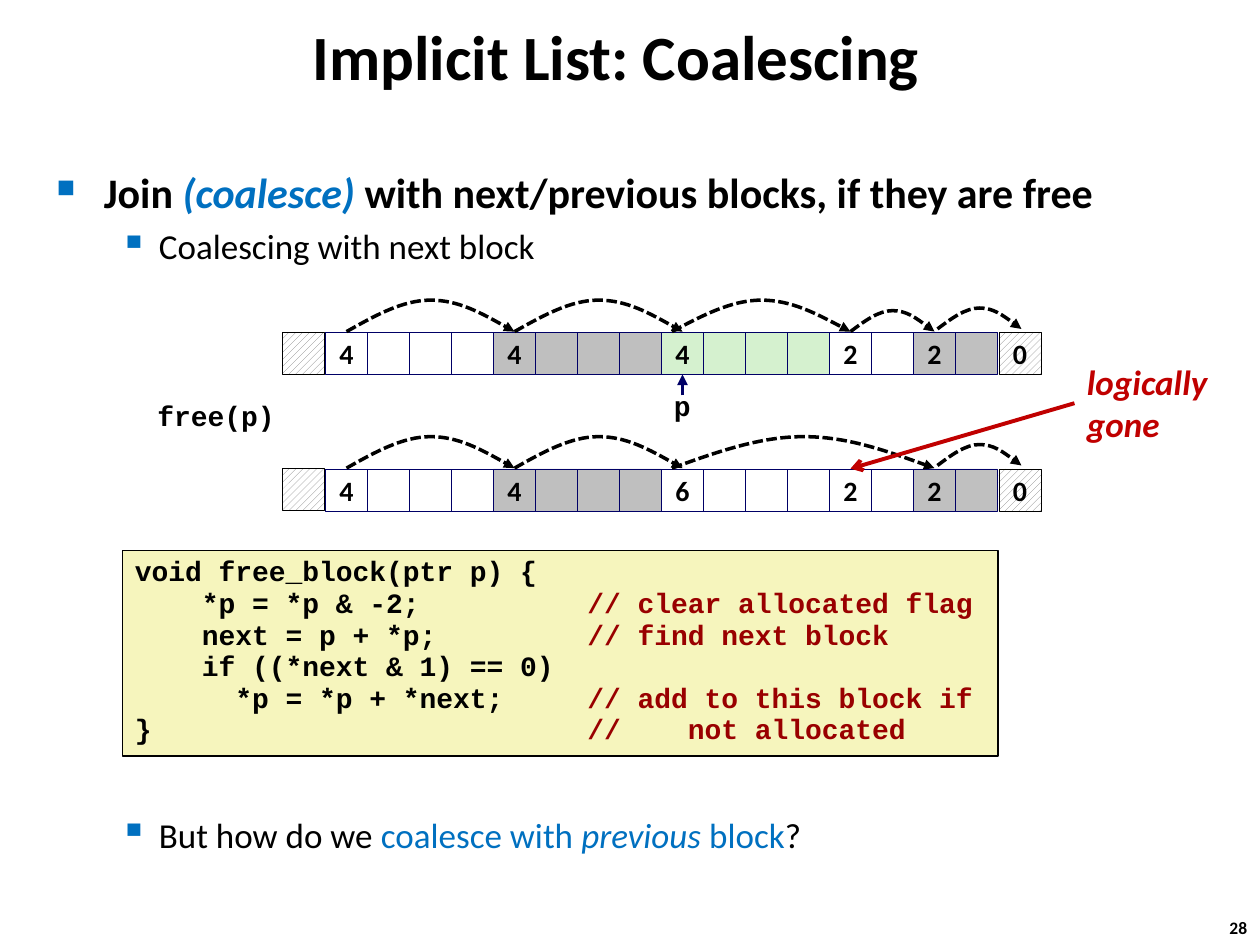
"""Build the slide on coalescing free blocks in an implicit list."""
from dataclasses import dataclass

from lxml.etree import SubElement
from pptx import Presentation
from pptx.dml.color import RGBColor
from pptx.enum.dml import MSO_LINE_DASH_STYLE as Dash, MSO_PATTERN_TYPE as Pattern
from pptx.enum.shapes import MSO_CONNECTOR_TYPE as Connector, MSO_SHAPE as Preset
from pptx.enum.text import MSO_ANCHOR as Anchor, PP_ALIGN as Align
from pptx.oxml.ns import qn
from pptx.util import Pt


@dataclass(frozen=True)
class Theme:
    sans: str = "Calibri"
    mono: str = "Courier New"
    black: str = "000000"
    white: str = "FFFFFF"
    blue: str = "0070C0"
    navy: str = "000066"
    red: str = "C00000"
    comment: str = "990000"
    code_fill: str = "F6F5BD"
    gray: str = "BFBFBF"
    silver: str = "C0C0C0"
    green: str = "D5F1CF"
    hatch: str = "808080"
    title_size: int = 36
    heading_size: int = 24
    body_size: int = 20
    small_size: int = 16
    number_size: int = 10


THEME = Theme()
CELL = 24
GRID_LEFT = 186
BEFORE_ROWS = [(4, "4", THEME.white), (4, "4", THEME.gray), (4, "4", THEME.green),
               (2, "2", THEME.white), (2, "2", THEME.silver)]
AFTER_ROWS = [(4, "4", THEME.white), (4, "4", THEME.gray), (4, "6", THEME.white),
              (2, "2", THEME.white), (2, "2", THEME.silver)]
LAST_ARC = (14.07, 16.07, 12, 2)
BEFORE_ARCS = [(0, 4, 18, 0.5), (4, 8, 18, 0.5), (7.75, 12, 18, 0.5),
               (12, 14, 12, 0.5), LAST_ARC]
AFTER_ARCS = [(0, 4, 18, 0.5), (4, 8, 18, 0.5), (7.75, 14, 18, 0.5), LAST_ARC]
ARC_POINTS = [(1 / 6, 0.5), (1 / 3, 1), (1 / 2, 1), (2 / 3, 1), (5 / 6, 0.5), (1, 0)]
CODE_WIDTH = 27
CODE = [
    ("void free_block(ptr p) {", ""),
    ("    *p = *p & -2;", "// clear allocated flag"),
    ("    next = p + *p;", "// find next block"),
    ("    if ((*next & 1) == 0)", ""),
    ("      *p = *p + *next;", "// add to this block if"),
    ("}", "//    not allocated"),
]


def rgb(color):
    return RGBColor.from_string(color)


def add_run(paragraph, text, size, color=THEME.black, font=THEME.sans,
            bold=False, italic=False):
    run = paragraph.add_run()
    run.text = text
    run.font.name, run.font.size = font, Pt(size)
    run.font.bold, run.font.italic = bold, italic
    run.font.color.rgb = rgb(color)


def add_box(slide, left, top, width, height, wrap=False):
    shape = slide.shapes.add_textbox(Pt(left), Pt(top), Pt(width), Pt(height))
    shape.text_frame.word_wrap = wrap
    return shape.text_frame


def add_label(slide, box, text, size, spacing=1.0, **style):
    paragraph = add_box(slide, *box).paragraphs[0]
    paragraph.line_spacing = spacing
    add_run(paragraph, text, size, bold=True, **style)
    return paragraph


def set_bullet(paragraph, character, percent, margin, indent):
    properties = paragraph._p.get_or_add_pPr()
    properties.set("marL", str(Pt(margin)))
    properties.set("indent", str(Pt(-indent)))
    color = SubElement(properties, qn("a:buClr"))
    SubElement(color, qn("a:srgbClr"), val=THEME.blue)
    SubElement(properties, qn("a:buSzPct"), val=str(percent * 1000))
    SubElement(properties, qn("a:buChar"), char=character)


def set_sub_bullet(paragraph):
    set_bullet(paragraph, "▪", 110, 58.5, 22.5)
    paragraph.line_spacing = 0.88


def add_rectangle(slide, left, top, width, height, fill, line, line_width):
    shape = slide.shapes.add_shape(Preset.RECTANGLE, Pt(left), Pt(top), Pt(width), Pt(height))
    shape.shadow.inherit = False
    shape.fill.solid()
    shape.fill.fore_color.rgb = rgb(fill)
    shape.line.color.rgb = rgb(line)
    shape.line.width = Pt(line_width)
    shape.text_frame.word_wrap = False
    return shape


def add_cell(slide, left, top, text, fill, line=THEME.navy):
    shape = add_rectangle(slide, left, top, CELL, CELL, fill, line, 0.25)
    if text:
        shape.text_frame.vertical_anchor = Anchor.MIDDLE
        paragraph = shape.text_frame.paragraphs[0]
        paragraph.alignment = Align.CENTER
        add_run(paragraph, text, THEME.small_size, bold=True)
    return shape


def add_hatched_cell(slide, left, top, text=""):
    fill = add_cell(slide, left, top, text, THEME.white, THEME.black).fill
    fill.patterned()
    fill.pattern = Pattern.WIDE_UPWARD_DIAGONAL
    fill.fore_color.rgb = rgb(THEME.hatch)
    fill.back_color.rgb = rgb(THEME.white)


def style_arrow(shape, color, width, head, dash=None):
    shape.line.color.rgb = rgb(color)
    shape.line.width = Pt(width)
    if dash:
        shape.line.dash_style = dash
    outline = shape.element.spPr.find(qn("a:ln"))
    SubElement(outline, qn("a:tailEnd"), type=head)


def add_arrow(slide, start, end, color, width, head):
    ends = [Pt(value) for value in (*start, *end)]
    connector = slide.shapes.add_connector(Connector.STRAIGHT, *ends)
    style_arrow(connector, color, width, head)
    SubElement(connector.element.spPr, qn("a:effectLst"))


def add_arc(slide, row_top, start, end, height, gap):
    left, base = GRID_LEFT + CELL * (start + 0.5), row_top - gap
    span = CELL * (end - start)
    builder = slide.shapes.build_freeform(Pt(left), Pt(base))
    builder.add_line_segments(
        [(Pt(left + span * x), Pt(base - height * y)) for x, y in ARC_POINTS], close=False)
    shape = builder.convert_to_shape()
    segments = list(shape.element.iter(qn("a:lnTo")))
    outline = segments[0].getparent()
    for first in range(0, len(segments), 3):
        curve = SubElement(outline, qn("a:cubicBezTo"))
        for segment in segments[first:first + 3]:
            curve.append(segment[0])
            outline.remove(segment)
    shape.shadow.inherit = False
    shape.fill.background()
    style_arrow(shape, THEME.black, 2, "triangle", Dash.SQUARE_DOT)


def add_heap(slide, top, blocks, arcs):
    add_hatched_cell(slide, GRID_LEFT - CELL - 0.5, top - 0.25)
    left = GRID_LEFT
    for length, size, fill in blocks:
        for index in range(length):
            add_cell(slide, left, top, "" if index else size, fill)
            left += CELL
    add_hatched_cell(slide, left + 0.75, top, "0")
    for arc in arcs:
        add_arc(slide, top, *arc)


def add_bullets(slide):
    frame = add_box(slide, 25.2, 96.5, 654.5, 64, wrap=True)
    heading = frame.paragraphs[0]
    set_bullet(heading, "■", 60, 27, 27)
    heading.line_spacing = 0.83
    size = THEME.heading_size
    add_run(heading, "Join ", size, bold=True)
    add_run(heading, "(coalesce) ", size, THEME.blue, bold=True, italic=True)
    add_run(heading, "with next/previous blocks, if they are free", size, bold=True)
    detail = frame.add_paragraph()
    set_sub_bullet(detail)
    detail.space_before = Pt(7.5)
    add_run(detail, "Coalescing with next block", THEME.body_size)

    question = add_box(slide, 25.2, 464.3, 654.5, 30, wrap=True).paragraphs[0]
    set_sub_bullet(question)
    add_run(question, "But how do we ", THEME.body_size)
    add_run(question, "coalesce with ", THEME.body_size, THEME.blue)
    add_run(question, "previous", THEME.body_size, THEME.blue, italic=True)
    add_run(question, " block", THEME.body_size, THEME.blue)
    add_run(question, "?", THEME.body_size)


def add_code(slide):
    shape = add_rectangle(slide, 70, 314.6, 500.4, 117.4, THEME.code_fill, THEME.black, 1)
    shape.text_frame.vertical_anchor = Anchor.TOP
    paragraph = shape.text_frame.paragraphs[0]
    paragraph.alignment = Align.LEFT
    paragraph.line_spacing = 0.94
    style = dict(size=THEME.small_size, font=THEME.mono, bold=True)
    for index, (code, comment) in enumerate(CODE):
        if index:
            paragraph.add_line_break()
        add_run(paragraph, code.ljust(CODE_WIDTH) if comment else code, **style)
        if comment:
            add_run(paragraph, comment, color=THEME.comment, **style)


def main():
    presentation = Presentation()
    presentation.slide_width, presentation.slide_height = Pt(720), Pt(540)
    slide = presentation.slides.add_slide(presentation.slide_layouts[6])
    title = add_label(slide, (85.7, 6.5, 532.8, 51), "Implicit List: Coalescing",
                      THEME.title_size)
    title.alignment = Align.CENTER
    add_bullets(slide)
    add_code(slide)
    add_heap(slide, 190, BEFORE_ROWS, BEFORE_ARCS)
    add_heap(slide, 268, AFTER_ROWS, AFTER_ARCS)
    for text, box in (("free(p)", (82.8, 226, 82, 26)), ("p", (378, 220.3, 24, 26))):
        add_label(slide, box, text, THEME.small_size, 0.94, font=THEME.mono)
    add_arrow(slide, (390, 226), (390, 214), THEME.navy, 2, "triangle")
    note = add_box(slide, 614, 202.3, 83.5, 55.5)
    for paragraph, text in ((note.paragraphs[0], "logically"), (note.add_paragraph(), "gone")):
        add_run(paragraph, text, THEME.body_size, THEME.red, bold=True, italic=True)
    add_arrow(slide, (614, 230.4), (486, 267.8), THEME.red, 2.25, "arrow")
    add_label(slide, (695.5, 520.5, 26.6, 19.4), "28", THEME.number_size)
    presentation.save("out.pptx")


if __name__ == "__main__":
    main()
